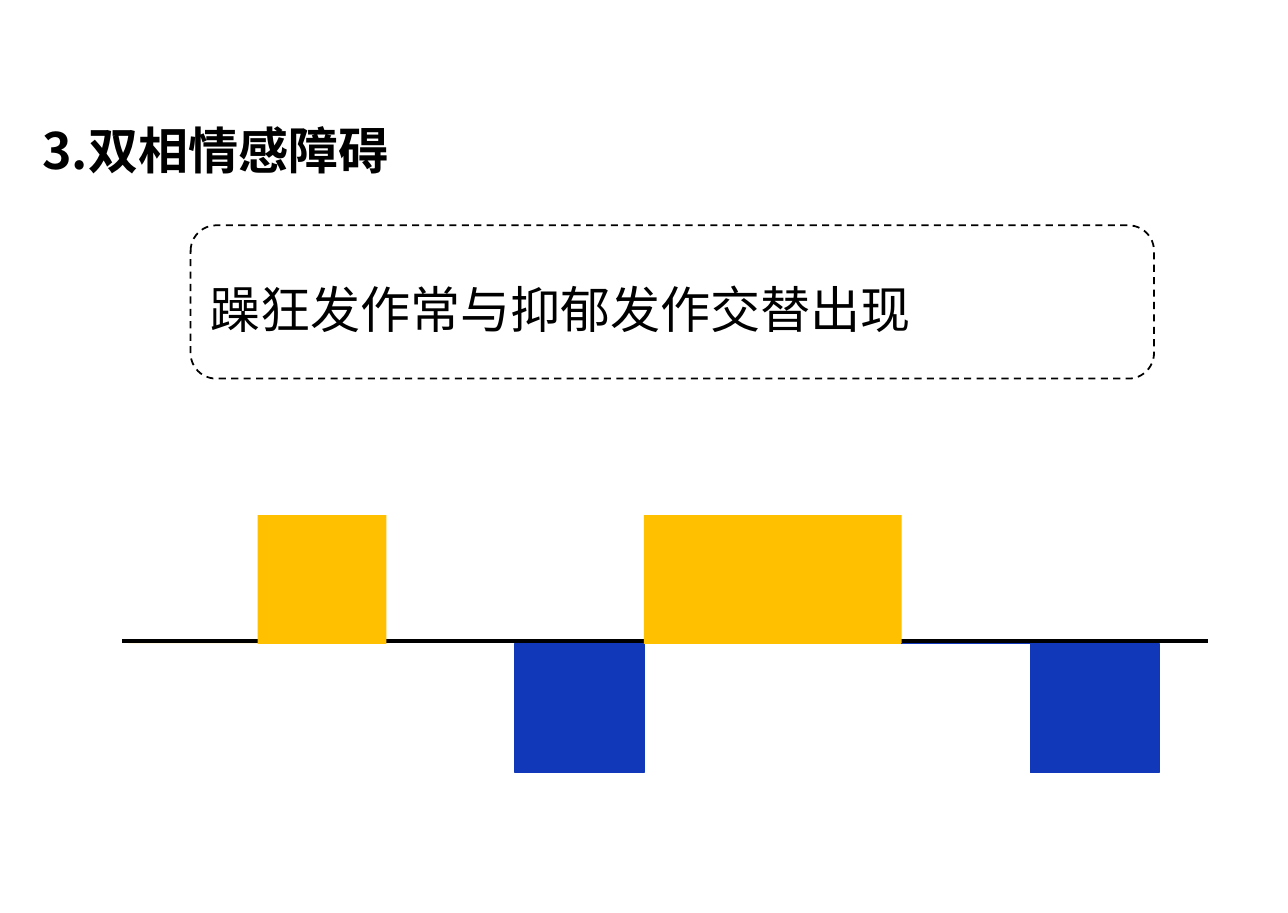
import math
from dataclasses import dataclass

import pptx
import pptx.dml.color
import pptx.enum.dml
import pptx.enum.shapes
import pptx.enum.text
import pptx.oxml
import pptx.oxml.ns
import pptx.util


@dataclass(frozen=True)
class Theme:
    ink: str = "000000"
    paper: str = "FFFFFF"
    mania: str = "FFC000"
    depression: str = "1038B8"
    text_size: int = 28
    title_font: str = "Noto Sans CJK SC"
    body_font: str = "Arial"
    east_asian_font: str = "Noto Sans CJK SC"


THEME = Theme()
WIDTH, HEIGHT = 10, 7.09
BASELINE = 4.98
CYCLE = 3.9
ARC_STEPS = 32


def color(value):
    return pptx.dml.color.RGBColor.from_string(value)


def inches(*values):
    return [pptx.util.Inches(value) for value in values]


def place(shape, left, top, width, height):
    shape.left, shape.top, shape.width, shape.height = inches(left, top, width, height)


def write(shape, text, font_name, bold=False):
    frame = shape.text_frame
    frame.word_wrap = True
    frame.vertical_anchor = pptx.enum.text.MSO_ANCHOR.MIDDLE
    paragraph = frame.paragraphs[0]
    paragraph.alignment = pptx.enum.text.PP_ALIGN.LEFT
    run = paragraph.add_run()
    run.text = text
    font = paragraph.font
    font.name = font_name
    font.size = pptx.util.Pt(THEME.text_size)
    font.bold = bold
    font.color.rgb = color(THEME.ink)
    properties = run._r.get_or_add_rPr()
    east_asian = pptx.oxml.parse_xml(f'<a:ea {pptx.oxml.ns.nsdecls("a")} typeface="{THEME.east_asian_font}"/>')
    properties.append(east_asian)
    return paragraph


def add_title(slide, text):
    title = slide.shapes.title
    place(title, 0.23, 0.57, 9, 1.18)
    write(title, text, THEME.title_font, bold=True)


def add_statement(slide, text):
    box = slide.shapes.add_shape(
        pptx.enum.shapes.MSO_SHAPE.ROUNDED_RECTANGLE, *inches(1.48, 1.75, 7.48, 1.19)
    )
    box.shadow.inherit = False
    box.fill.background()
    box.line.color.rgb = color(THEME.ink)
    box.line.width = pptx.util.Pt(1)
    box.line.dash_style = pptx.enum.dml.MSO_LINE.DASH
    write(box, text, THEME.body_font).line_spacing = 1.2


def add_axis(slide):
    axis = slide.shapes.add_connector(
        pptx.enum.shapes.MSO_CONNECTOR.STRAIGHT, *inches(0.95, BASELINE, 9.38, BASELINE)
    )
    axis.line.color.rgb = color(THEME.ink)
    axis.line.width = pptx.util.Pt(2.25)
    axis._element.spPr.append(pptx.oxml.parse_xml(f'<a:effectLst {pptx.oxml.ns.nsdecls("a")}/>'))


def add_episode(slide, center, radius, rise, fill, tilt=0, outline=None):
    points = []
    for step in range(ARC_STEPS + 1):
        angle = math.pi * step / ARC_STEPS
        slant = tilt * math.cos(angle)
        points.append((center - radius * math.cos(angle), BASELINE + slant - rise * math.sin(angle)))
    builder = slide.shapes.build_freeform(*points[0], scale=pptx.util.Inches(1))
    builder.add_line_segments(points[1:], close=True)
    episode = builder.convert_to_shape()
    episode.shadow.inherit = False
    episode.fill.solid()
    episode.fill.fore_color.rgb = color(fill)
    if outline:
        episode.line.color.rgb = color(fill)
        episode.line.width = pptx.util.Pt(outline)
    else:
        episode.line.fill.background()


def main():
    presentation = pptx.Presentation()
    presentation.slide_width, presentation.slide_height = inches(WIDTH, HEIGHT)
    slide = presentation.slides.add_slide(presentation.slide_layouts.get_by_name("Title Only"))
    slide.background.fill.solid()
    slide.background.fill.fore_color.rgb = color(THEME.paper)

    add_title(slide, "3.双相情感障碍")
    add_statement(slide, "躁狂发作常与抑郁发作交替出现")
    add_axis(slide)
    for cycle in range(2):
        shift = cycle * CYCLE
        add_episode(slide, 2.17 + shift * 0.99, 0.68, 1.09, THEME.mania, tilt=0.01)
        add_episode(slide, 4.18 + shift * 1.01, 0.63, -1.06, THEME.depression, outline=0.75)
    presentation.save("out.pptx")


if __name__ == "__main__":
    main()
